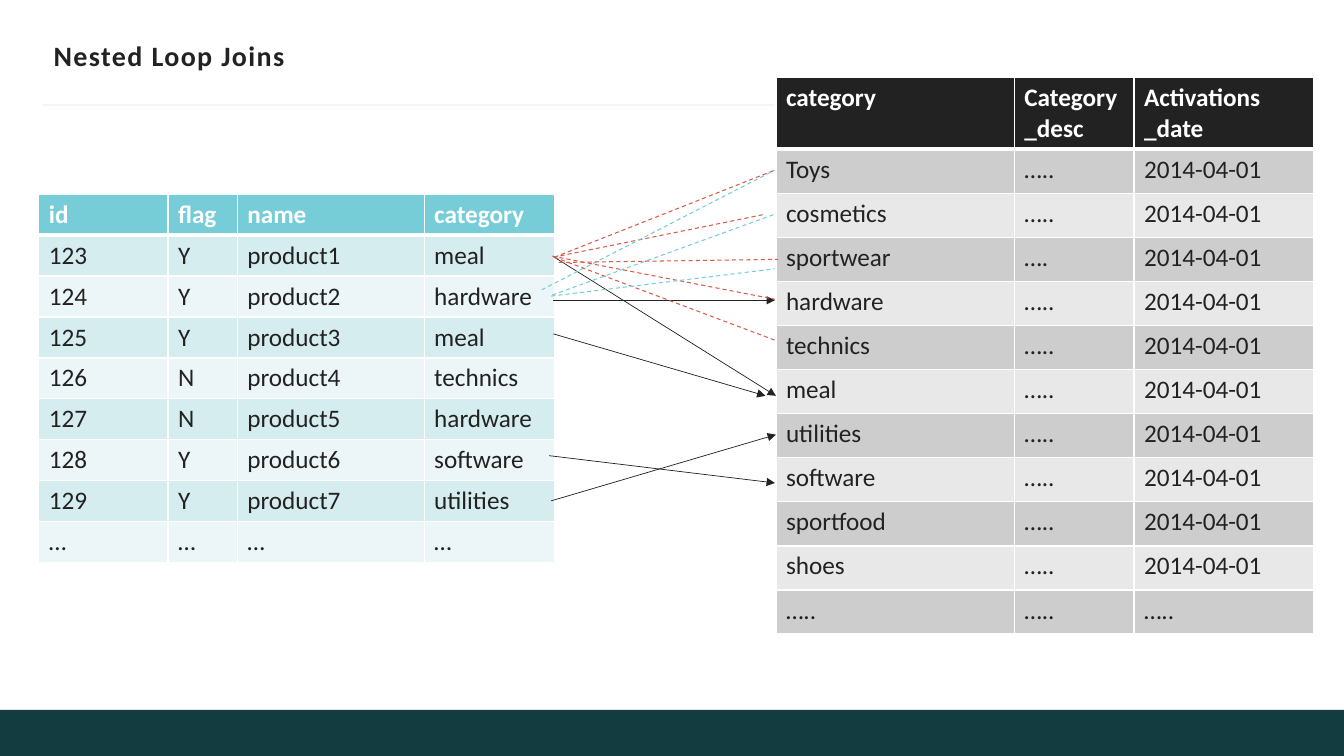
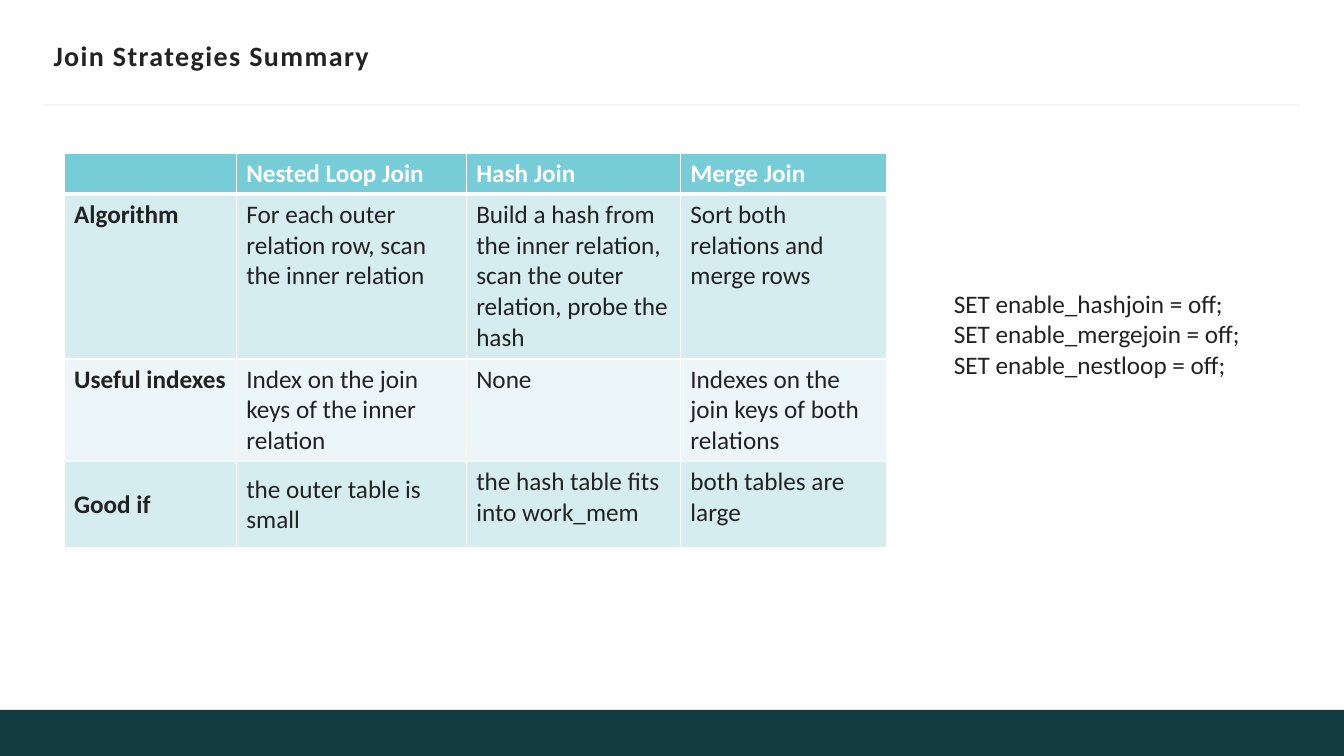
from dataclasses import dataclass
from typing import Any, NamedTuple

import lxml.etree
import pptx
import pptx.dml.color
import pptx.enum.dml
import pptx.enum.shapes
import pptx.enum.text
import pptx.oxml.ns
import pptx.presentation
import pptx.slide
import pptx.util

EMU_PER_PX = 9525
RGB = pptx.dml.color.RGBColor
Pt = pptx.util.Pt
TOP = pptx.enum.text.MSO_ANCHOR.TOP
MIDDLE = pptx.enum.text.MSO_ANCHOR.MIDDLE
qn = pptx.oxml.ns.qn


@dataclass(frozen=True)
class Theme:
    font: str = "Calibri"
    title_size: int = 20
    body_size: int = 18
    ink: RGB = RGB(0x22, 0x22, 0x22)
    white: RGB = RGB(0xFF, 0xFF, 0xFF)
    band: RGB = RGB(0x13, 0x3C, 0x41)
    rule: RGB = RGB(0xF5, 0xF5, 0xF5)
    teal: RGB = RGB(0x76, 0xCD, 0xD8)
    teal_odd: RGB = RGB(0xD6, 0xED, 0xF0)
    teal_even: RGB = RGB(0xEC, 0xF6, 0xF8)
    grey_odd: RGB = RGB(0xCD, 0xCD, 0xCD)
    grey_even: RGB = RGB(0xE8, 0xE8, 0xE8)
    red: RGB = RGB(0xD3, 0x5D, 0x47)


THEME = Theme()


class Box(NamedTuple):
    x: int
    y: int
    w: int
    h: int


class Palette(NamedTuple):
    header: RGB
    odd: RGB
    even: RGB


class LineStyle(NamedTuple):
    color: RGB
    width: float
    dashed: bool = False
    arrow: bool = False


class Link(NamedTuple):
    style: LineStyle
    x1: int
    y1: int
    x2: int
    y2: int


@dataclass(frozen=True)
class Grid:
    x: int
    y: int
    cols: list[int]
    heights: list[int]
    rows: list[list[str]]
    palette: Palette
    bold_first_col: bool = False
    middle: frozenset[tuple[int, int]] = frozenset()


TEAL = Palette(THEME.teal, THEME.teal_odd, THEME.teal_even)
GREY = Palette(THEME.ink, THEME.grey_odd, THEME.grey_even)
RULE = LineStyle(THEME.rule, 1.5)
MATCH = LineStyle(THEME.ink, 0.5, arrow=True)
MEAL_SCAN = LineStyle(THEME.red, 0.75, dashed=True)
HARDWARE_SCAN = LineStyle(THEME.teal, 0.75, dashed=True)

DATE = "2014-04-01"
DOTS = "….."
PRODUCTS = Grid(
    37, 185, [123, 66, 178, 124], [39] * 9,
    [
        ["id", "flag", "name", "category"],
        ["123", "Y", "product1", "meal"],
        ["124", "Y", "product2", "hardware"],
        ["125", "Y", "product3", "meal"],
        ["126", "N", "product4", "technics"],
        ["127", "N", "product5", "hardware"],
        ["128", "Y", "product6", "software"],
        ["129", "Y", "product7", "utilities"],
        ["…"] * 4,
    ],
    TEAL,
)
CATEGORIES = Grid(
    739, 74, [227, 114, 171], [68] + [42] * 11,
    [
        ["category", "Category_desc", "Activations _date"],
        ["Toys", DOTS, DATE],
        ["cosmetics", DOTS, DATE],
        ["sportwear", "….", DATE],
        *([name, DOTS, DATE] for name in (
            "hardware", "technics", "meal", "utilities",
            "software", "sportfood", "shoes")),
        [DOTS] * 3,
    ],
    GREY,
)
STRATEGIES = Grid(
    61, 146, [164, 219, 204, 196], [39, 157, 98, 82],
    [
        ["", "Nested Loop Join", "Hash Join", "Merge Join"],
        ["Algorithm",
         "For each outer relation row, scan the inner relation",
         "Build a hash from the inner relation, scan the outer relation, probe the hash",
         "Sort both relations and merge rows"],
        ["Useful indexes", "Index on the join keys of the inner relation",
         "None", "Indexes on the join keys of both relations"],
        ["Good if", "the outer table is small",
         "the hash table fits into work_mem", "both tables are large"],
    ],
    TEAL,
    bold_first_col=True,
    middle=frozenset({(3, 0), (3, 1)}),
)
LINKS = [
    Link(MEAL_SCAN, 527, 245, 729, 204),
    Link(MATCH, 528, 245, 739, 377),
    Link(MEAL_SCAN, 528, 245, 738, 162),
    Link(MATCH, 527, 286, 738, 286),
    Link(HARDWARE_SCAN, 516, 276, 738, 162),
    Link(HARDWARE_SCAN, 526, 281, 738, 204),
    Link(MATCH, 527, 318, 729, 377),
    Link(MATCH, 523, 434, 738, 460),
    Link(MATCH, 525, 477, 739, 414),
    Link(MEAL_SCAN, 532, 250, 741, 247),
    Link(MEAL_SCAN, 526, 244, 738, 285),
    Link(MEAL_SCAN, 528, 245, 738, 324),
    Link(HARDWARE_SCAN, 525, 282, 738, 256),
]
SETTINGS = [f"SET enable_{name} = off;" for name in ("hashjoin", "mergejoin", "nestloop")]


def px(n: int) -> int:
    return n * EMU_PER_PX


def assign(target: Any, values: dict[str, Any]) -> None:
    for name, value in values.items():
        setattr(target, name, value)


def write(p: Any, text: str, color: RGB = THEME.ink, bold: bool = False,
          size: int = THEME.body_size) -> Any:
    r = p.add_run()
    r.text = text
    assign(r.font, {"name": THEME.font, "size": Pt(size), "bold": bold})
    r.font.color.rgb = color
    return r


def add_text_box(s: pptx.slide.Slide, box: Box, frame: dict[str, Any]) -> Any:
    tf = s.shapes.add_textbox(*map(px, box)).text_frame
    assign(tf, {"word_wrap": True, **frame})
    return tf


def draw_link(s: pptx.slide.Slide, link: Link) -> None:
    ends = map(px, (link.x1, link.y1, link.x2, link.y2))
    sp = s.shapes.add_connector(pptx.enum.shapes.MSO_CONNECTOR.STRAIGHT, *ends)
    sp.line.color.rgb = link.style.color
    sp.line.width = Pt(link.style.width)
    if link.style.dashed:
        sp.line.dash_style = pptx.enum.dml.MSO_LINE.DASH
    if link.style.arrow:
        lxml.etree.SubElement(sp.line._get_or_add_ln(), qn("a:tailEnd"), type="triangle")
    lxml.etree.SubElement(sp._element.spPr, qn("a:effectLst"))


def add_borders(cell: Any, row: int) -> None:
    tc_pr = cell._tc.get_or_add_tcPr()
    widths = {"L": 1, "R": 1, "T": 3 if row == 1 else 1, "B": 3 if row == 0 else 1}
    for side, width in widths.items():
        ln = lxml.etree.SubElement(tc_pr, qn(f"a:ln{side}"), w=str(Pt(width)))
        fill = lxml.etree.SubElement(ln, qn("a:solidFill"))
        lxml.etree.SubElement(fill, qn("a:srgbClr"), val=str(THEME.white))


def draw_grid(s: pptx.slide.Slide, grid: Grid) -> None:
    box = Box(grid.x, grid.y, sum(grid.cols), sum(grid.heights))
    table = s.shapes.add_table(len(grid.rows), len(grid.cols), *map(px, box)).table
    table.horz_banding = False
    for col, width in zip(table.columns, grid.cols):
        col.width = px(width)
    for row, height in zip(table.rows, grid.heights):
        row.height = px(height)
    for i, texts in enumerate(grid.rows):
        header = i == 0
        fill = grid.palette.header if header else grid.palette.odd if i % 2 else grid.palette.even
        for j, text in enumerate(texts):
            cell = table.cell(i, j)
            add_borders(cell, i)
            cell.fill.solid()
            cell.fill.fore_color.rgb = fill
            cell.vertical_anchor = MIDDLE if (i, j) in grid.middle else TOP
            if text:
                write(cell.text_frame.paragraphs[0], text,
                      THEME.white if header else THEME.ink,
                      header or (grid.bold_first_col and j == 0))


def add_slide(prs: pptx.presentation.Presentation, title: str) -> pptx.slide.Slide:
    s = prs.slides.add_slide(prs.slide_layouts[6])
    band = s.shapes.add_shape(pptx.enum.shapes.MSO_SHAPE.RECTANGLE,
                              *map(px, Box(0, 676, 1280, 44)))
    band.shadow.inherit = False
    band.fill.solid()
    band.fill.fore_color.rgb = THEME.band
    band.line.fill.background()
    draw_link(s, Link(RULE, 41, 100, 1238, 100))
    tf = add_text_box(s, Box(51, 32, 1180, 42),
                      {"margin_left": 0, "margin_right": 0, "vertical_anchor": MIDDLE})
    r = write(tf.paragraphs[0], title, bold=True, size=THEME.title_size)
    r._r.get_or_add_rPr().set("spc", "100")
    return s


def add_nested_loop(prs: pptx.presentation.Presentation) -> None:
    s = add_slide(prs, "Nested Loop Joins")
    for grid in (PRODUCTS, CATEGORIES):
        draw_grid(s, grid)
    for link in LINKS:
        draw_link(s, link)


def add_summary(prs: pptx.presentation.Presentation) -> None:
    s = add_slide(prs, "Join Strategies Summary")
    draw_grid(s, STRATEGIES)
    tf = add_text_box(s, Box(899, 270, 296, 126), {"vertical_anchor": TOP})
    for i, text in enumerate(SETTINGS):
        write(tf.add_paragraph() if i else tf.paragraphs[0], text)


def main() -> None:
    prs = pptx.Presentation()
    assign(prs, {"slide_width": px(1280), "slide_height": px(720)})
    add_nested_loop(prs)
    add_summary(prs)
    prs.save("out.pptx")


if __name__ == "__main__":
    main()
